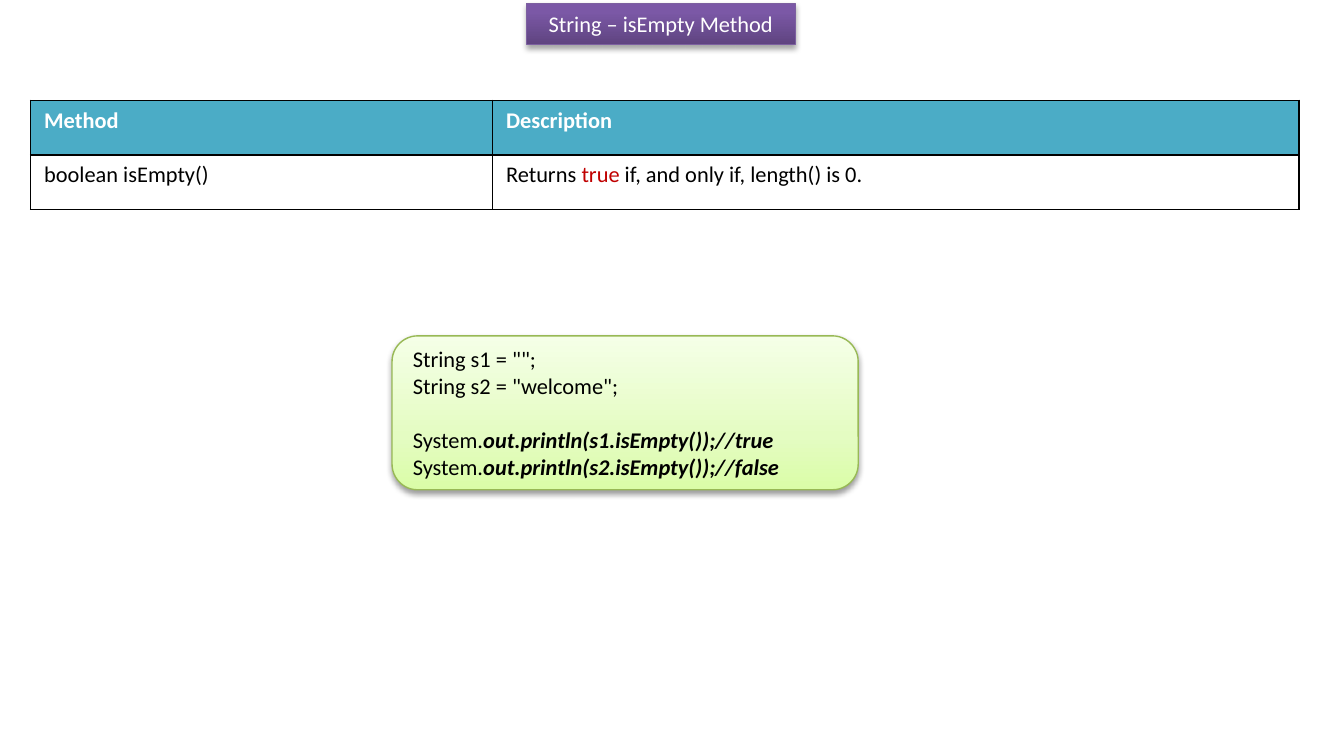
import copy
import pptx
import pptx.util
import pptx.dml.color
import pptx.enum.shapes
import pptx.enum.text
import pptx.oxml
import pptx.oxml.ns

Cm = pptx.util.Cm
Pt = pptx.util.Pt
RGB = pptx.dml.color.RGBColor
BLACK = RGB(0, 0, 0)
WHITE = RGB(255, 255, 255)
RED = RGB(0xC0, 0, 0)
TEAL = RGB(0x4B, 0xAC, 0xC6)
PLUM = RGB(0x7D, 0x60, 0xA0)
LEAF = RGB(0x98, 0xB9, 0x55)
PLUMS = [(0, RGB(0x5F, 0x44, 0x80)), (0.8, RGB(0x7B, 0x58, 0xA6)), (1, RGB(0x7C, 0x57, 0xA8))]
LEAVES = [(0, RGB(0xDA, 0xFD, 0xA7)), (0.35, RGB(0xE4, 0xFC, 0xC2)), (1, RGB(0xF5, 0xFF, 0xE7))]
NS = pptx.oxml.ns.nsdecls("a")


def paint(shape, stops, edge, drop, alpha):
    shape.fill.gradient()
    shape.fill.gradient_angle = 90
    node = shape._element.spPr.find(".//" + pptx.oxml.ns.qn("a:gsLst"))
    node.append(copy.deepcopy(node[-1]))
    for grad, (pos, tint) in zip(shape.fill.gradient_stops, stops):
        grad.position = pos
        grad.color.rgb = tint
    shape.line.color.rgb = edge
    shape.line.width = Pt(0.75)
    shape.shadow.inherit = False
    glow = shape._element.spPr.find(pptx.oxml.ns.qn("a:effectLst"))
    glow.append(pptx.oxml.parse_xml(
        f'<a:outerShdw {NS} blurRad="{Pt(3.1)}" dist="{Pt(drop)}" dir="5400000" rotWithShape="0">'
        f'<a:srgbClr val="000000"><a:alpha val="{alpha * 1000}"/></a:srgbClr></a:outerShdw>'))


def style(para, tint, bold=None):
    para.font.name = "Calibri"
    para.font.size = Pt(12)
    para.font.color.rgb = tint
    para.font.bold = bold


deck = pptx.Presentation()
deck.slide_width = Cm(25.4)
deck.slide_height = Cm(13.97)
slide = deck.slides.add_slide(deck.slide_layouts[5])

title = slide.shapes.title
title.left, title.top, title.width, title.height = Cm(9.95), Cm(0.07), Cm(5.08), Cm(0.77)
paint(title, PLUMS, PLUM, 1.8, 35)
frame = title.text_frame
frame.text = "String – isEmpty Method"
frame.auto_size = pptx.enum.text.MSO_AUTO_SIZE.NONE
frame.vertical_anchor = pptx.enum.text.MSO_ANCHOR.TOP
frame.paragraphs[0].alignment = pptx.enum.text.PP_ALIGN.CENTER
style(frame.paragraphs[0], WHITE)

rows = [
    [["Method"], ["Description"]],
    [["boolean\u00a0isEmpty()"], ["Returns ", "true", " if, and only if, length() is 0."]],
]
table = slide.shapes.add_table(2, 2, Cm(0.58), Cm(1.9), Cm(23.97), Cm(2.06)).table
table.horz_banding = False
table.columns[0].width = Cm(8.73)
table.columns[1].width = Cm(15.24)
for i, row in enumerate(rows):
    for j, parts in enumerate(row):
        cell = table.cell(i, j)
        props = cell._tc.get_or_add_tcPr()
        for side in "LRTB":
            props.append(pptx.oxml.parse_xml(
                f'<a:ln{side} {NS} w="{Pt(1)}"><a:solidFill><a:srgbClr val="000000"/>'
                f'</a:solidFill></a:ln{side}>'))
        if i == 0:
            cell.fill.solid()
            cell.fill.fore_color.rgb = TEAL
        else:
            cell.fill.background()
        para = cell.text_frame.paragraphs[0]
        for part in parts:
            run = para.add_run()
            run.text = part
            if part == "true":
                run.font.color.rgb = RED
        style(para, BLACK if i else WHITE, i == 0)

code = slide.shapes.add_shape(
    pptx.enum.shapes.MSO_SHAPE.ROUNDED_RECTANGLE, Cm(7.41), Cm(6.35), Cm(8.81), Cm(2.91))
paint(code, LEAVES, LEAF, 1.6, 38)
frame = code.text_frame
frame.word_wrap = True
frame.vertical_anchor = pptx.enum.text.MSO_ANCHOR.MIDDLE
lines = [
    ('String s1 = "";', ""),
    ('String s2 = "welcome";', ""),
    ("System.", "out.println(s1.isEmpty());//true"),
    ("System.", "out.println(s2.isEmpty());//false"),
]
for i, (plain, strong) in enumerate(lines):
    para = frame.paragraphs[0] if i == 0 else frame.add_paragraph()
    para.alignment = pptx.enum.text.PP_ALIGN.LEFT
    if i == 2:
        para.space_before = Pt(14.6)
    para.add_run().text = plain
    if strong:
        run = para.add_run()
        run.text = strong
        run.font.bold = True
        run.font.italic = True
    style(para, BLACK)

deck.save("out.pptx")
